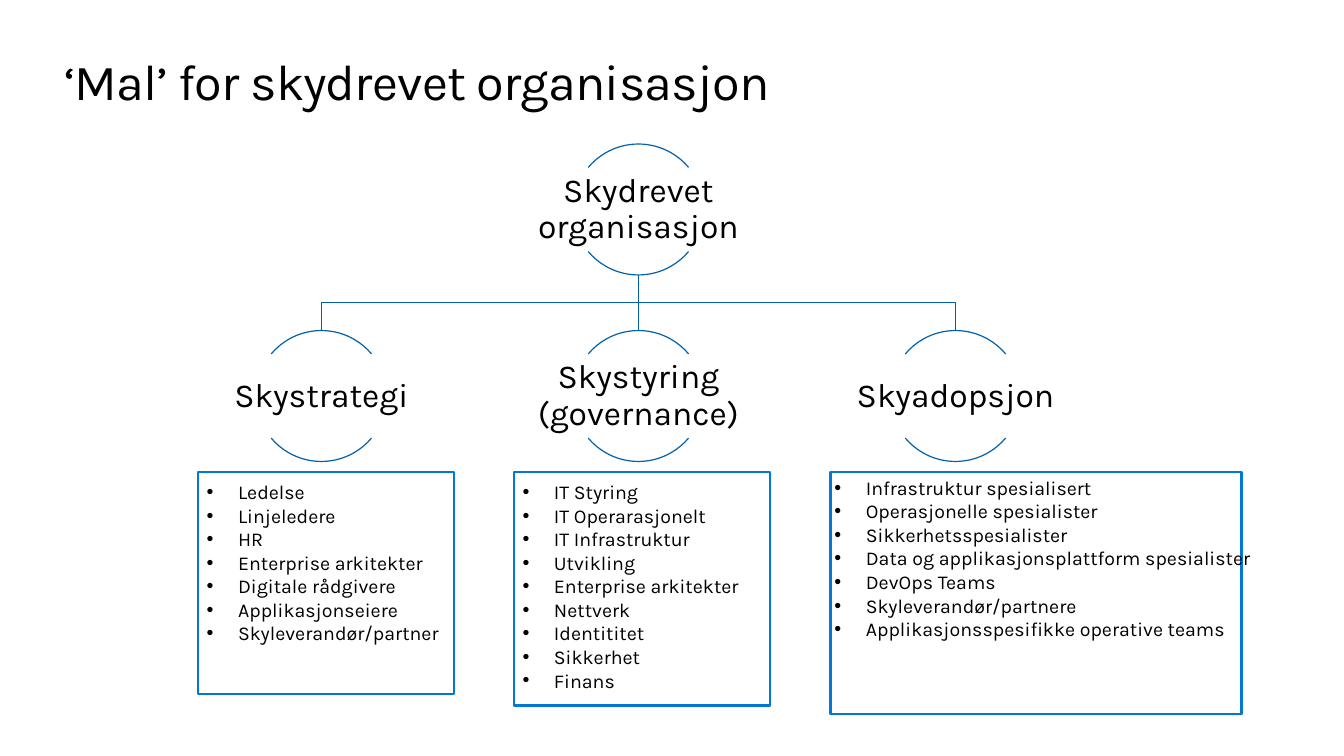
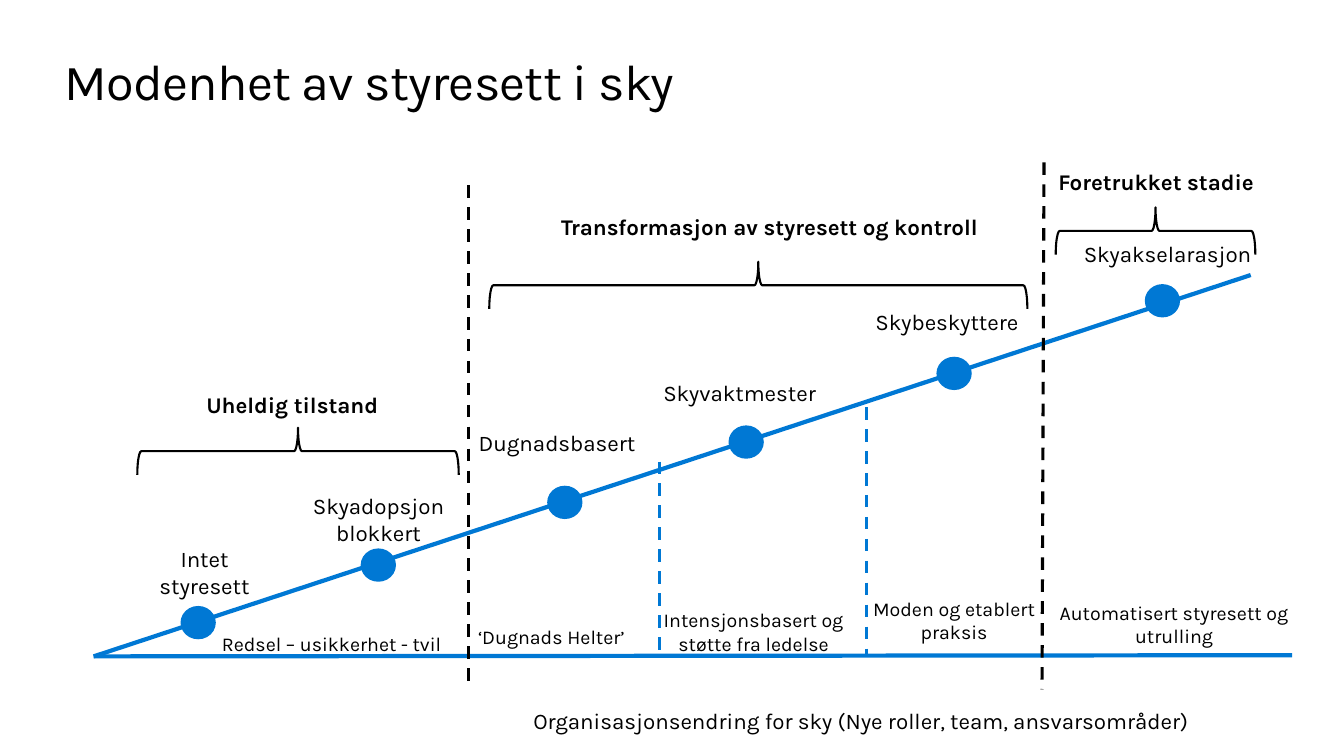
"""Builds two slides on a cloud-driven organisation and its governance maturity."""
import lxml.etree
import pptx
import pptx.dml.color
import pptx.enum.dml
import pptx.enum.shapes
import pptx.enum.text
import pptx.oxml.ns
import pptx.util

Cm = pptx.util.Cm
Pt = pptx.util.Pt
RGBColor = pptx.dml.color.RGBColor
SHAPE = pptx.enum.shapes.MSO_SHAPE
ALIGN = pptx.enum.text.PP_ALIGN
ANCHOR = pptx.enum.text.MSO_ANCHOR
DASH = pptx.enum.dml.MSO_LINE.DASH

BLACK = RGBColor(0x00, 0x00, 0x00)
WHITE = RGBColor(0xFF, 0xFF, 0xFF)
BLUE = RGBColor(0x00, 0x78, 0xD4)
DARK_BLUE = RGBColor(0x00, 0x60, 0xAA)


class Deck:
    FONT = "Karla"
    TITLE_BOX = (1.63, 1.27, 30.61, 1.55)
    BULLET_INDENT = 0.79

    def __init__(self):
        self.presentation = pptx.Presentation()
        self.presentation.slide_width = Cm(33.87)
        self.presentation.slide_height = Cm(19.05)
        self.slide = None

    def set_values(self, target, values):
        for name, value in values.items():
            setattr(target, name, value)

    def fill_text(self, shape, lines, size, align=ALIGN.LEFT, bold=False, anchor=ANCHOR.TOP,
                  inset=0, spacing=1.0):
        frame = shape.text_frame
        frame.text = "\n".join(lines)
        margins = {f"margin_{side}": Cm(inset) for side in ("left", "top", "right", "bottom")}
        self.set_values(frame, {"word_wrap": True, "vertical_anchor": anchor,
                                "auto_size": pptx.enum.text.MSO_AUTO_SIZE.NONE, **margins})
        for paragraph in frame.paragraphs:
            self.set_values(paragraph, {"alignment": align, "line_spacing": spacing})
            font = paragraph.runs[0].font
            self.set_values(font, {"name": self.FONT, "size": Pt(size), "bold": bold})
            font.color.rgb = BLACK
        return frame

    def start_slide(self, title):
        self.slide = self.presentation.slides.add_slide(self.presentation.slide_layouts[5])
        shape = self.slide.shapes.title
        box = (Cm(value) for value in self.TITLE_BOX)
        self.set_values(shape, dict(zip(("left", "top", "width", "height"), box)))
        frame = self.fill_text(shape, [title], 36)
        frame.paragraphs[0].runs[0].font._element.set("spc", "-50")

    def text(self, left, top, width, height, lines, size, **style):
        shape = self.slide.shapes.add_textbox(Cm(left), Cm(top), Cm(width), Cm(height))
        return self.fill_text(shape, lines, size, **style)

    def bullets(self, left, top, width, height, lines):
        frame = self.text(left, top, width, height, lines, 14)
        indent = Cm(self.BULLET_INDENT)
        for paragraph in frame.paragraphs:
            properties = paragraph._p.get_or_add_pPr()
            properties.set("marL", str(indent))
            properties.set("indent", str(-indent))
            font = lxml.etree.SubElement(properties, pptx.oxml.ns.qn("a:buFont"))
            font.set("typeface", "Arial")
            bullet = lxml.etree.SubElement(properties, pptx.oxml.ns.qn("a:buChar"))
            bullet.set("char", "•")

    def shape(self, kind, left, top, width, height, fill=None, line=None, weight=1.5):
        shape = self.slide.shapes.add_shape(kind, Cm(left), Cm(top), Cm(width), Cm(height))
        shape.shadow.inherit = False
        for target, color in ((shape.fill, fill), (shape.line.fill, line)):
            if color is None:
                target.background()
            else:
                target.solid()
                target.fore_color.rgb = color
        if line is not None:
            shape.line.width = Pt(weight)
        return shape

    def line(self, start, end, color, weight, dash=None):
        connector = self.slide.shapes.add_connector(
            pptx.enum.shapes.MSO_CONNECTOR.STRAIGHT, *(Cm(value) for value in start + end))
        connector.line.color.rgb = color
        self.set_values(connector.line, {"width": Pt(weight), "dash_style": dash})
        lxml.etree.SubElement(connector._element.spPr, pptx.oxml.ns.qn("a:effectLst"))

    def node(self, center, top, label):
        diameter, label_width = 3.3, 6.6
        for angles in ((220, 320), (40, 140)):
            arc = self.shape(SHAPE.ARC, center - diameter / 2, top, diameter, diameter,
                             line=DARK_BLUE, weight=0.85)
            for index, angle in enumerate(angles):
                arc.adjustments[index] = angle * 0.6
        self.text(center - label_width / 2, top + 0.6, label_width, 2.11, [label], 24,
                  align=ALIGN.CENTER, anchor=ANCHOR.MIDDLE, inset=0.05, spacing=0.9)

    def brace(self, center_x, center_y, length):
        depth = 1.19
        shape = self.shape(SHAPE.LEFT_BRACE, center_x - depth / 2, center_y - length / 2,
                           depth, length, line=BLACK)
        shape.rotation = 90


def build_organisation(deck):
    deck.start_slide("‘Mal’ for skydrevet organisasjon")
    centers = [8.1 + 7.99 * index for index in range(3)]
    root_top, root_bottom, bar, team_top = 3.63, 6.93, 7.63, 8.33
    deck.line((centers[1], root_bottom), (centers[1], bar), DARK_BLUE, 0.85)
    deck.line((centers[0], bar), (centers[-1], bar), DARK_BLUE, 0.85)
    deck.node(centers[1], root_top, "Skydrevet organisasjon")

    teams = [
        ("Skystrategi", 5.0, 6.45, 5.59, 0.21, 6.02,
         ["Ledelse", "Linjeledere", "HR", "Enterprise arkitekter", "Digitale rådgivere",
          "Applikasjonseiere", "Skyleverandør/partner"]),
        ("Skystyring (governance)", 12.96, 6.45, 5.89, 0.21, 6.02,
         ["IT Styring", "IT Operarasjonelt", "IT Infrastruktur", "Utvikling",
          "Enterprise arkitekter", "Nettverk", "Identititet", "Sikkerhet", "Finans"]),
        ("Skyadopsjon", 20.93, 10.36, 6.1, 0.1, 10.54,
         ["Infrastruktur spesialisert", "Operasjonelle spesialister",
          "Sikkerhetsspesialister", "Data og applikasjonsplattform spesialister",
          "DevOps Teams", "Skyleverandør/partnere",
          "Applikasjonsspesifikke operative teams"]),
    ]
    box_top = 11.89
    for center, (name, left, width, height, gap, list_width, roles) in zip(centers, teams):
        deck.line((center, bar), (center, team_top), DARK_BLUE, 0.85)
        deck.node(center, team_top, name)
        deck.shape(SHAPE.RECTANGLE, left, box_top, width, height, fill=WHITE, line=BLUE)
        deck.bullets(left + gap, box_top + gap, list_width, 0.6 * len(roles), roles)


def build_maturity(deck):
    deck.start_slide("Modenhet av styresett i sky")
    origin = (2.36, 16.54)
    for end in ((32.56, 16.51), (31.52, 6.93)):
        deck.line(origin, end, BLUE, 3)

    stages = [
        (4.55, 15.27, "Intet styresett", 3.48, 13.74, 3.35, 1.37),
        (9.09, 13.82, "Skyadopsjon blokkert", 7.47, 12.4, 4.14, 1.37),
        (13.79, 12.24, "Dugnadsbasert", 12.01, 10.82, 4.06, 0.69),
        (18.36, 10.72, "Skyvaktmester", 16.61, 9.55, 4.06, 0.69),
        (23.6, 8.99, "Skybeskyttere", 21.87, 7.77, 3.99, 0.69),
        (28.85, 7.16, "Skyakselarasjon", 26.62, 6.05, 5.61, 0.69),
    ]
    for dot_left, dot_top, name, left, top, width, height in stages:
        deck.shape(SHAPE.FLOWCHART_CONNECTOR, dot_left, dot_top, 0.89, 0.84, fill=BLUE)
        deck.text(left, top, width, height, [name], 16, align=ALIGN.CENTER)

    phases = [
        ("Uheldig tilstand", 4.24, 9.86, 6.25, (7.51, 11.37, 8.1)),
        ("Transformasjon av styresett og kontroll", 14.05, 5.36, 10.69, (19.11, 7.19, 13.56)),
        ("Foretrukket stadie", 26.01, 4.24, 6.25, (29.12, 5.82, 5.03)),
    ]
    for name, left, top, width, brace in phases:
        deck.brace(*brace)
        deck.text(left, top, width, 0.69, [name], 16, align=ALIGN.CENTER, bold=True)

    dividers = [
        ((11.81, 4.67), (11.81, 17.32), BLACK),
        ((26.31, 4.09), (26.26, 17.37), BLACK),
        ((16.61, 11.63), (16.61, 16.51), BLUE),
        ((21.84, 10.26), (21.84, 16.54), BLUE),
    ]
    for start, end, color in dividers:
        deck.line(start, end, color, 2.25, DASH)

    traits = [
        ("Redsel – usikkerhet - tvil", 5.59, 15.93, 5.97, 0.6, ALIGN.LEFT),
        ("‘Dugnads Helter’", 11.51, 15.75, 4.78, 0.6, ALIGN.CENTER),
        ("Intensjonsbasert og støtte fra ledelse", 16.15, 15.32, 5.69, 1.2, ALIGN.CENTER),
        ("Moden og etablert praksis", 21.82, 15.04, 4.45, 1.2, ALIGN.CENTER),
        ("Automatisert styresett og utrulling", 26.34, 15.14, 6.5, 1.2, ALIGN.CENTER),
    ]
    for trait, left, top, width, height, align in traits:
        deck.text(left, top, width, height, [trait], 14, align=align)
    deck.text(11.3, 17.83, 20.8, 0.69,
              ["Organisasjonsendring for sky (Nye roller, team, ansvarsområder)"], 16,
              align=ALIGN.CENTER)


def main():
    deck = Deck()
    build_organisation(deck)
    build_maturity(deck)
    deck.presentation.save("out.pptx")


if __name__ == "__main__":
    main()
